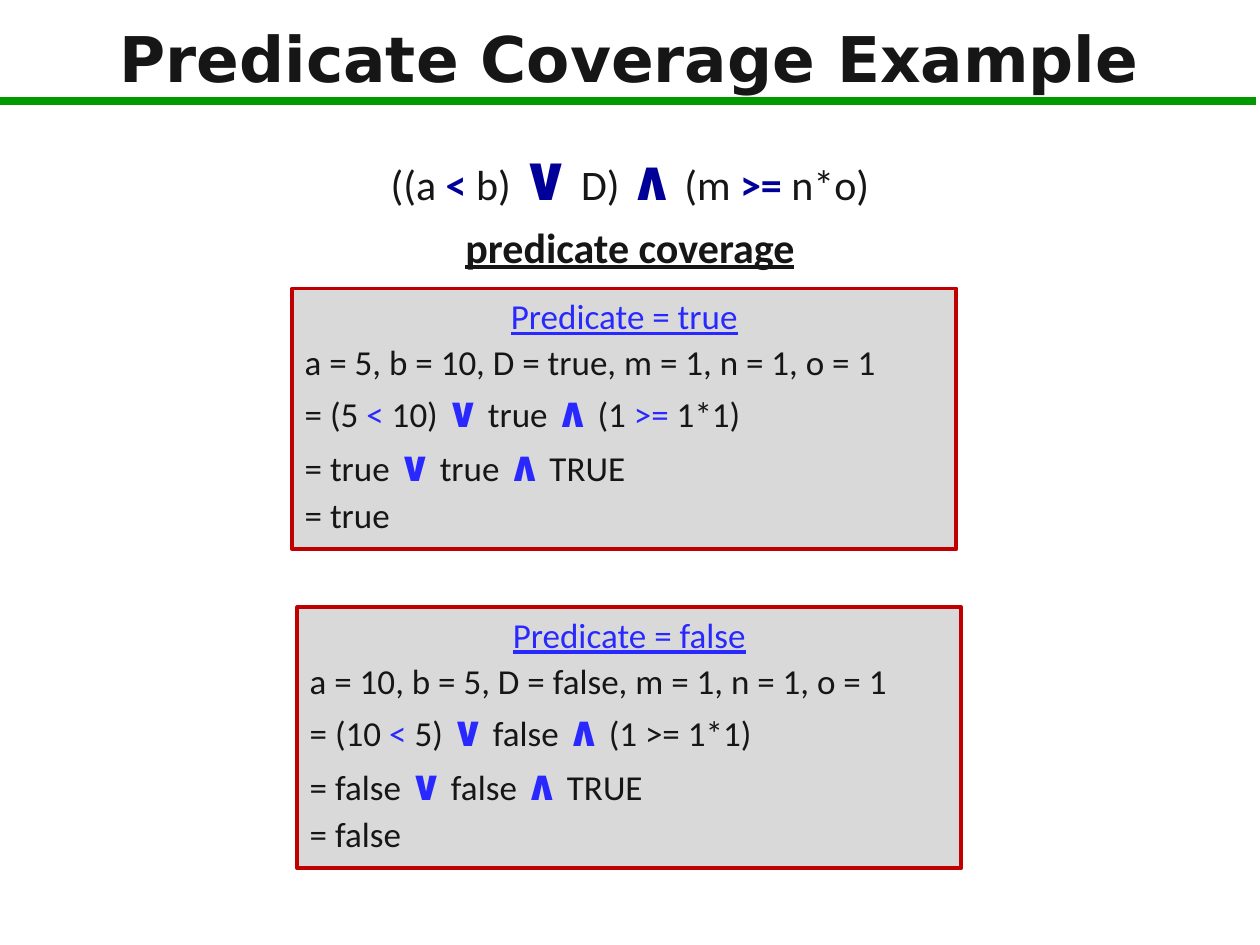
"""Build the predicate coverage example slide."""
from lxml import etree
from pptx import Presentation, util as u
from pptx.dml.color import RGBColor
from pptx.enum import shapes, text
from pptx.oxml.ns import qn

HUES = {"ink": "161616", "navy": "000099", "blue": "2929FF",
        "red": "C00000", "gray": "D9D9D9", "green": "009900"}
TITLE = "Predicate Coverage Example"
RULE = "((a |<| b) |∨| D) |∧| (m |>=| n*o)"
NAME = "predicate coverage"
CASES = [
    ("Predicate = true",
     ["a = 5, b = 10, D = true, m = 1, n = 1, o = 1",
      "= (5 |<| 10) |∨| true |∧| (1 |>=| 1*1)",
      "= true |∨| true |∧| TRUE",
      "= true"]),
    ("Predicate = false",
     ["a = 10, b = 5, D = false, m = 1, n = 1, o = 1",
      "= (10 |<| 5) |∨| false |∧| (1 >= 1*1)",
      "= false |∨| false |∧| TRUE",
      "= false"]),
]
WIDE, HIGH = 10, 7.5
LEFT, TOP, STEP = (2.32, 0.04), 2.29, 2.53
BOX = (5.27, 2.07)


def hue(name):
    return RGBColor.from_string(HUES[name])


def style(run, size, color, bold=False, line=False, face="Calibri"):
    font = run.font
    font.name, font.size = face, u.Pt(size)
    font.bold, font.underline = bold, line
    font.color.rgb = hue(color)


def setup(frame):
    frame.word_wrap = True
    frame.auto_size = text.MSO_AUTO_SIZE.NONE
    frame.vertical_anchor = text.MSO_ANCHOR.TOP


def add_para(frame, first, gap, align):
    para = frame.paragraphs[0] if first else frame.add_paragraph()
    para.alignment = align
    if not first:
        para.space_before = u.Pt(gap)
    return para


def add_logic(para, line, size, color, big, bold):
    for i, part in enumerate(line.split("|")):
        run = para.add_run()
        run.text = part
        if i % 2:
            style(run, big.get(part, size), color, bold or part in big)
        else:
            style(run, size, "ink")


def add_title(slide):
    head = slide.shapes.title
    head.left, head.top = u.Inches(0.1), u.Inches(0.05)
    head.width, head.height = u.Inches(9.79), u.Inches(0.88)
    frame = head.text_frame
    frame.text = TITLE
    setup(frame)
    frame.vertical_anchor = text.MSO_ANCHOR.MIDDLE
    para = frame.paragraphs[0]
    para.alignment, para.line_spacing = text.PP_ALIGN.CENTER, 0.9
    style(para.runs[0], 36, "ink", True, face="DejaVu Sans")


def add_bar(slide):
    y = u.Inches(0.8)
    bar = slide.shapes.add_connector(
        shapes.MSO_CONNECTOR.STRAIGHT, 0, y, u.Inches(9.97), y)
    bar.line.color.rgb, bar.line.width = hue("green"), u.Pt(4.5)
    etree.SubElement(bar.element.spPr, qn("a:effectLst"))


def add_rule(slide):
    box = slide.shapes.add_textbox(
        u.Inches(0.15), u.Inches(1.11), u.Inches(9.7), u.Inches(0.99))
    frame = box.text_frame
    setup(frame)
    mid = text.PP_ALIGN.CENTER
    rule = add_para(frame, True, 0, mid)
    add_logic(rule, RULE, 24, "navy", {"∨": 36, "∧": 32}, True)
    name = add_para(frame, False, 7.2, mid)
    name.text = NAME
    style(name.runs[0], 24, "ink", True, True)
    for para in frame.paragraphs:
        para.line_spacing = 0.9


def add_case(slide, row, head, lines):
    left, top = LEFT[0] + row * LEFT[1], TOP + row * STEP
    box = slide.shapes.add_shape(
        shapes.MSO_SHAPE.RECTANGLE, *map(u.Inches, (left, top, *BOX)))
    box.shadow.inherit = False
    box.fill.solid()
    box.fill.fore_color.rgb = hue("gray")
    box.line.color.rgb, box.line.width = hue("red"), u.Pt(2.25)
    frame = box.text_frame
    setup(frame)
    para = add_para(frame, True, 0, text.PP_ALIGN.CENTER)
    para.text = head
    style(para.runs[0], 20, "blue", line=True)
    for line in lines:
        para = add_para(frame, False, 2, text.PP_ALIGN.LEFT)
        add_logic(para, line, 20, "blue", {"∨": 24, "∧": 24}, False)


def main():
    deck = Presentation()
    deck.slide_width, deck.slide_height = u.Inches(WIDE), u.Inches(HIGH)
    slide = deck.slides.add_slide(deck.slide_layouts[5])
    add_bar(slide)
    add_title(slide)
    add_rule(slide)
    for row, (head, lines) in enumerate(CASES):
        add_case(slide, row, head, lines)
    deck.save("out.pptx")


if __name__ == "__main__":
    main()
